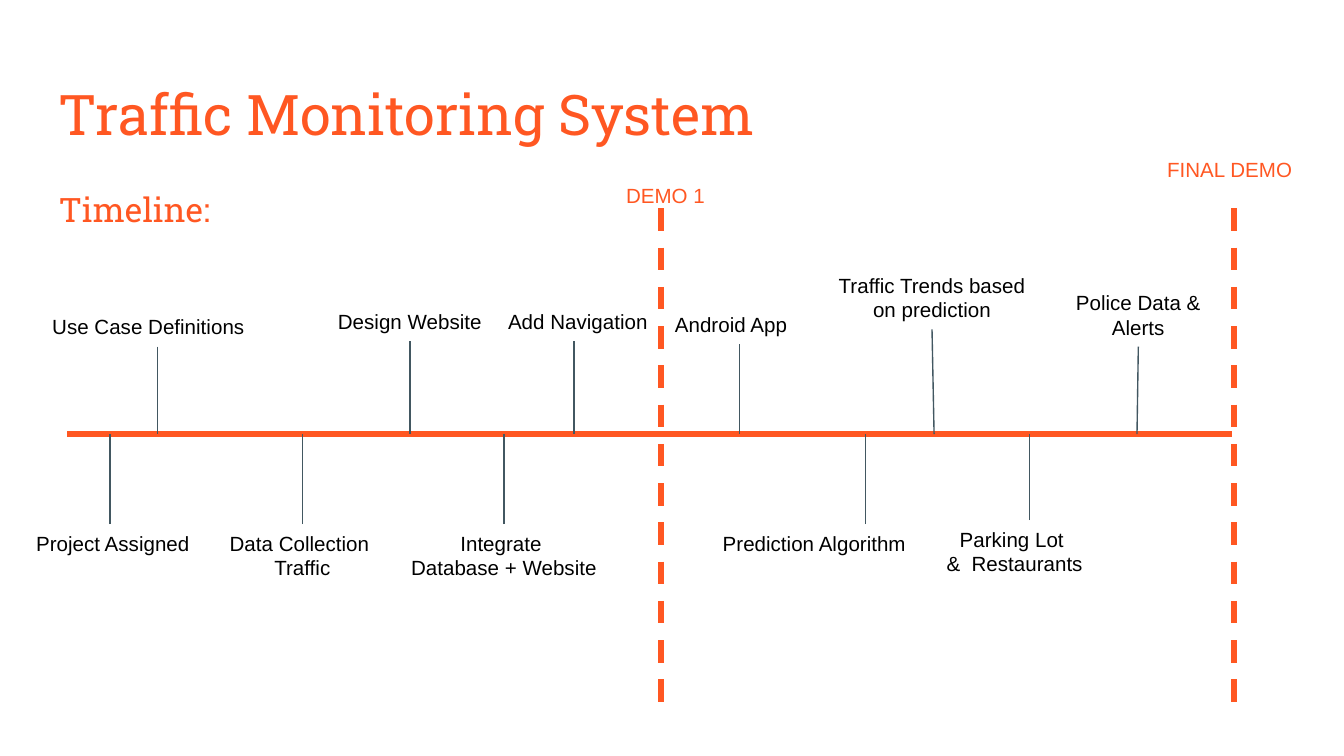
from pptx import Presentation
from pptx import util as u
from pptx.dml.color import RGBColor
from pptx.enum import dml, shapes, text
from pptx.oxml.ns import qn
from lxml import etree

ORANGE = RGBColor(0xFF, 0x57, 0x22)
SLATE = RGBColor(0x42, 0x57, 0x61)
BLACK = RGBColor(0, 0, 0)
LEFT, CENTER = text.PP_ALIGN.LEFT, text.PP_ALIGN.CENTER

MILESTONES = [
    ("Project Assigned", 0.32, -0.33, 0.67, 1.39, 0.29, LEFT),
    ("Use Case Definitions", 0.67, -0.21, -0.94, 1.76, 0.29, LEFT),
    ("Data Collection \nTraffic", 1.75, 0.87, 0.67, 1.76, 0.47, CENTER),
    ("Design Website", 2.55, 1.67, -0.98, 1.76, 0.29, CENTER),
    ("Integrate \vDatabase + Website", 3.25, 2.37, 0.67, 1.76, 0.47, CENTER),
    ("Add Navigation", 3.77, 2.92, -0.98, 1.76, 0.29, CENTER),
    ("Android App", 5.0, 4.06, -0.96, 1.76, 0.29, CENTER),
    ("Prediction Algorithm", 5.94, 4.68, 0.67, 1.76, 0.29, CENTER),
    ("Traffic Trends based on prediction", 6.45, 5.6, -1.25, 1.67, 0.47, CENTER),
    ("Parking Lot \v&  Restaurants", 7.16, 5.82, 0.64, 2.46, 0.66, CENTER),
    ("Police Data &\nAlerts", 7.96, 7.09, -1.12, 1.76, 0.47, CENTER),
]
DEMOS = [
    ("DEMO 1", 4.42, 4.06, -1.92, 0.94, LEFT),
    ("FINAL DEMO", 8.68, 7.42, -2.11, 2.46, CENTER),
]


def add_label(slide, box, content, size=11, font="Arial", color=BLACK,
              alignment=LEFT, inset=0.05, line_spacing=1.0):
    shape = slide.shapes.add_textbox(*[u.Inches(length) for length in box])
    frame = shape.text_frame
    frame.word_wrap = True
    frame.margin_left = frame.margin_right = u.Inches(0.1)
    frame.margin_top = frame.margin_bottom = u.Inches(inset)
    for index, block in enumerate(content.split("\n")):
        paragraph = frame.add_paragraph() if index else frame.paragraphs[0]
        paragraph.alignment = alignment
        paragraph.line_spacing = line_spacing
        for position, line in enumerate(block.split("\v")):
            if position:
                paragraph.add_line_break()
            run = paragraph.add_run()
            run.text = line
            run.font.size = u.Pt(size)
            run.font.name = font
            run.font.color.rgb = color
    return shape


def add_line(slide, start, end, color, width, dashed=False):
    connector = slide.shapes.add_connector(
        shapes.MSO_CONNECTOR.STRAIGHT,
        *[u.Inches(length) for length in (*start, *end)])
    connector.line.color.rgb = color
    connector.line.width = u.Pt(width)
    if dashed:
        connector.line.dash_style = dml.MSO_LINE.DASH
    etree.SubElement(connector._element.spPr, qn("a:effectLst"))
    return connector


def add_heading(slide, left, top, width):
    add_label(slide, (left, top, width, 0.63), "Traffic Monitoring System",
              30, "Roboto Slab", ORANGE, inset=0.1)
    add_label(slide, (left, top + 0.77, width, 3.74), "Timeline:",
              18, "Roboto Slab", ORANGE, inset=0.1, line_spacing=1.15)


def add_milestone(slide, left, axis, milestone):
    content, stem, label_left, label_top, width, height, alignment = milestone
    label = add_label(slide, (left + label_left, axis + label_top, width, height),
                      content, alignment=alignment)
    above = label_top < 0
    edge = label_top + height if above else label_top
    connector = add_line(slide, (left + stem, axis + edge), (left + stem, axis),
                         SLATE, 0.75)
    if abs(label_left + width / 2 - stem) < 0.02:
        connector.begin_connect(label, 2 if above else 0)


def add_demo(slide, left, axis, demo):
    content, marker, label_left, label_top, width, alignment = demo
    add_line(slide, (left + marker, axis - 1.68), (left + marker, axis + 2),
             ORANGE, 3, dashed=True)
    add_label(slide, (left + label_left, axis + label_top, width, 0.29),
              content, color=ORANGE, alignment=alignment)


def add_timeline(slide, left, axis, width):
    add_line(slide, (left, axis), (left + width, axis), ORANGE, 3)
    for milestone in MILESTONES:
        add_milestone(slide, left, axis, milestone)
    for demo in DEMOS:
        add_demo(slide, left, axis, demo)


def main():
    presentation = Presentation()
    presentation.slide_width = u.Inches(10)
    presentation.slide_height = u.Inches(10) * 9 // 16
    slide = presentation.slides.add_slide(presentation.slide_layouts[6])
    add_heading(slide, 0.34, 0.49, 9.32)
    add_timeline(slide, 0.5, 3.23, 8.67)
    presentation.save("out.pptx")


if __name__ == "__main__":
    main()
